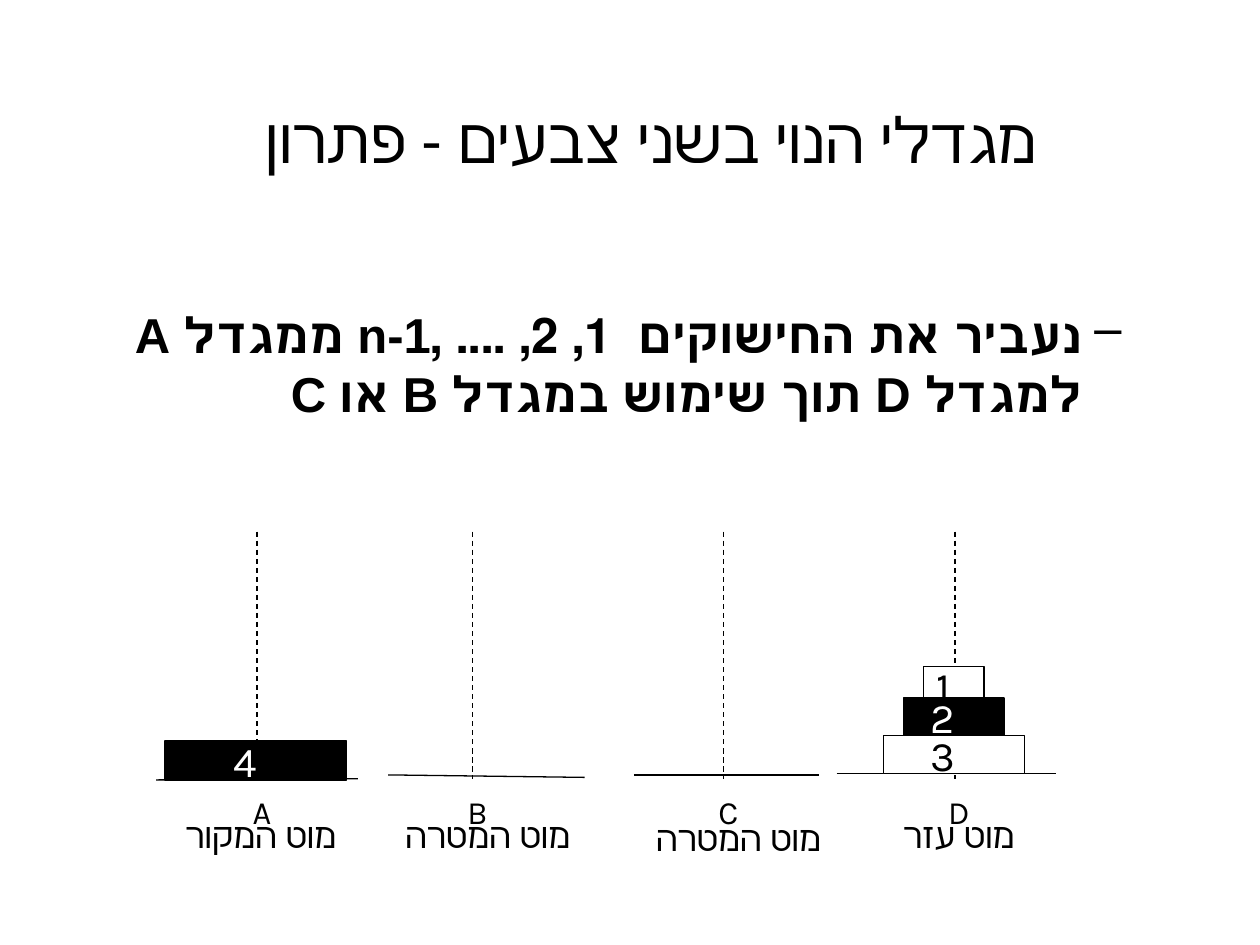
from lxml import etree
from pptx import Presentation
from pptx.dml.color import RGBColor
from pptx.enum.dml import MSO_LINE
from pptx.enum.shapes import MSO_CONNECTOR, MSO_SHAPE
from pptx.enum.text import MSO_ANCHOR, PP_ALIGN
from pptx.oxml.ns import qn
from pptx.util import Inches, Pt

BLACK = RGBColor(0, 0, 0)
WHITE = RGBColor(255, 255, 255)
ROD_TOP, ROD_BOTTOM = 4.22, 6.18

# Rod x, base from and to, letter box, caption box (left, top), caption
RODS = [
    ("A", 2.04, (1.24, 6.19), (2.84, 6.18), (1.48, 1.2), (1.31, 6.41), "מוט המקור"),
    ("B", 3.75, (3.08, 6.15), (4.64, 6.17), (3.51, 0.56), (3.11, 6.41), "מוט המטרה"),
    ("C", 5.74, (5.03, 6.15), (6.5, 6.15), (5.5, 0.56), (5.1, 6.43), "מוט המטרה"),
    ("D", 7.58, (6.64, 6.14), (8.38, 6.14), (7.33, 0.56), (6.85, 6.41), "מוט עזר"),
]
# Number, box, fill, text colour
DISCS = [
    ("4", (1.31, 5.88, 1.44, 0.31), BLACK, WHITE),
    ("1", (7.33, 5.29, 0.48, 0.3), WHITE, BLACK),
    ("2", (7.17, 5.54, 0.8, 0.3), BLACK, WHITE),
    ("3", (7.01, 5.84, 1.12, 0.3), WHITE, BLACK),
]


def write(frame, text, font, size, color=BLACK, align=PP_ALIGN.CENTER):
    frame.word_wrap = True
    para = frame.paragraphs[0]
    para.text = text
    para.alignment = align
    para.font.name = font
    para.font.size = Pt(size)
    para.font.color.rgb = color
    return para


def add_text(page, box, text, font, size, align=PP_ALIGN.CENTER):
    frame = page.shapes.add_textbox(*map(Inches, box)).text_frame
    return frame, write(frame, text, font, size, align=align)


def add_line(page, start, end, dashed=False):
    line = page.shapes.add_connector(
        MSO_CONNECTOR.STRAIGHT, *map(Inches, (*start, *end)))
    line.line.color.rgb = BLACK
    line.line.width = Pt(0.75)
    if dashed:
        line.line.dash_style = MSO_LINE.DASH
    etree.SubElement(line._element.spPr, qn("a:effectLst"))


def add_title(page, box):
    frame, para = add_text(page, box, "מגדלי הנוי בשני צבעים - פתרון", "Calibri", 36)
    frame.vertical_anchor = MSO_ANCHOR.MIDDLE
    para._p.get_or_add_pPr().set("rtl", "1")


def add_step(page, box):
    """Right-to-left step with a dash bullet and a hanging indent."""
    text = "נעביר את החישוקים  1, 2, .... ,n-1 ממגדל A למגדל D תוך שימוש במגדל B או C"
    _, para = add_text(page, box, text, "Arial", 28, PP_ALIGN.RIGHT)
    para.font.bold = True
    properties = para._p.get_or_add_pPr()
    properties.set("rtl", "1")
    properties.set("marL", str(Inches(0.81)))
    properties.set("indent", str(Inches(-0.31)))
    bullet = etree.Element(qn("a:buChar"), char="–")
    properties.insert(0, bullet)


def add_rod(page, letter, x, base_start, base_end, letter_span, caption_at, caption):
    add_line(page, (x, ROD_TOP), (x, ROD_BOTTOM), dashed=True)
    add_line(page, base_start, base_end)
    left, width = letter_span
    _, para = add_text(page, (left, ROD_BOTTOM, width, 0.63), letter, "Karla", 32)
    para.runs[0].font._element.set("baseline", "30000")
    add_text(page, (*caption_at, 1.52, 0.43), caption, "Calibri", 20)


def add_disc(page, number, box, fill, color):
    disc = page.shapes.add_shape(MSO_SHAPE.RECTANGLE, *map(Inches, box))
    disc.shadow.inherit = False
    disc.fill.solid()
    disc.fill.fore_color.rgb = fill
    disc.line.color.rgb = BLACK
    disc.line.width = Pt(0.75)
    frame = disc.text_frame
    frame.vertical_anchor = MSO_ANCHOR.MIDDLE
    # The number stands a little left of the rod
    frame.margin_left, frame.margin_right = Inches(0), Inches(0.17)
    write(frame, number, "Karla", 24, color)


def main():
    deck = Presentation()
    deck.slide_width, deck.slide_height = Inches(10), Inches(7.5)
    page = deck.slides.add_slide(deck.slide_layouts[6])
    add_title(page, (0.67, 0.47, 9, 1.25))
    add_step(page, (0.5, 2.37, 9, 1.2))
    for rod in RODS:
        add_rod(page, *rod)
    for disc in DISCS:
        add_disc(page, *disc)
    deck.save("out.pptx")


if __name__ == "__main__":
    main()
